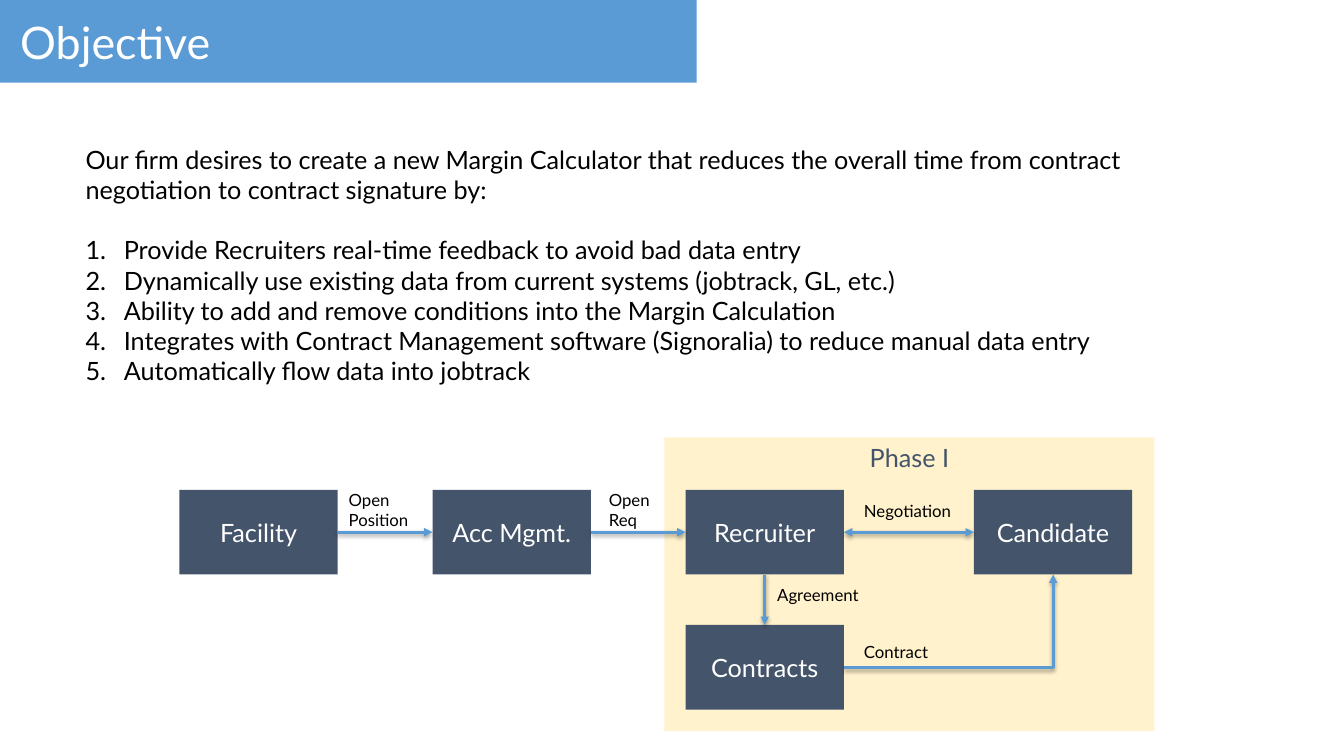
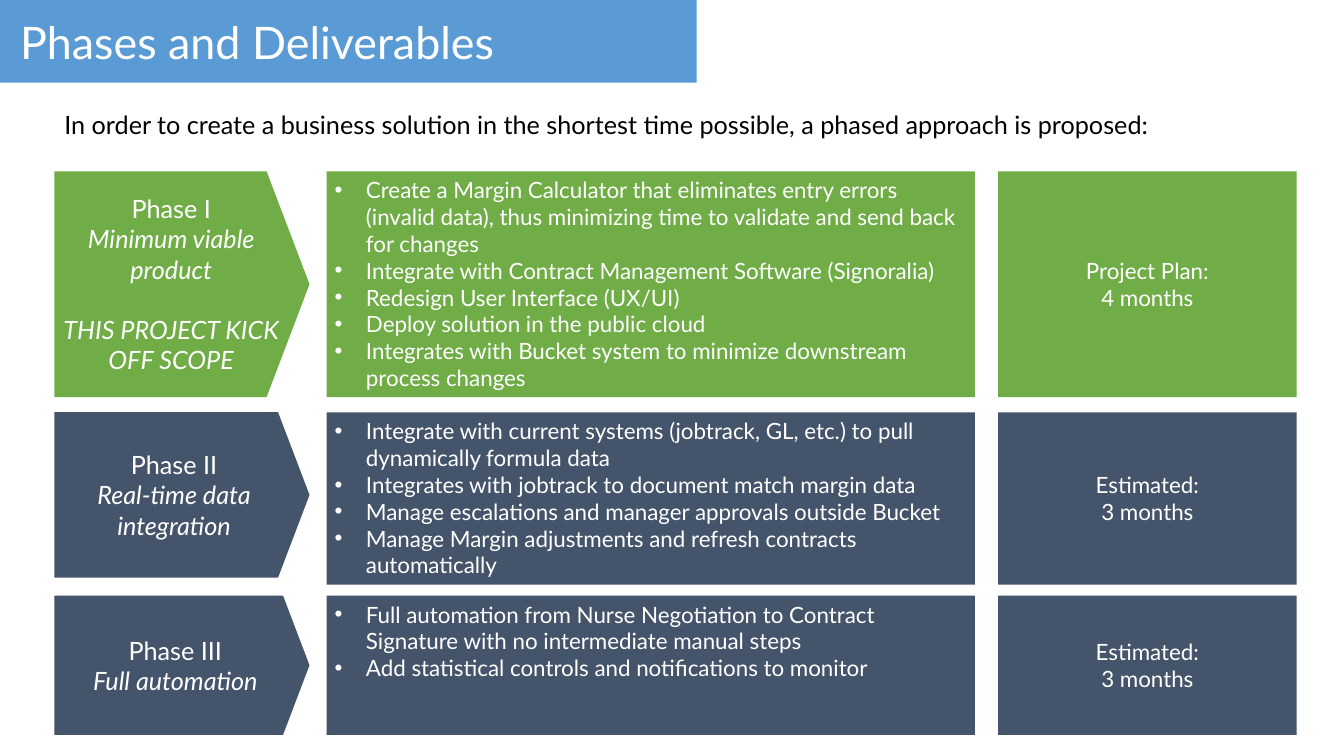
"""Build the two project kick-off slides: objective and phased deliverables."""
from dataclasses import dataclass

from lxml import etree
from pptx import Presentation
from pptx.dml.color import RGBColor
from pptx.enum.shapes import MSO_CONNECTOR, MSO_SHAPE
from pptx.enum.text import MSO_ANCHOR, PP_ALIGN
from pptx.oxml.ns import qn
from pptx.util import Inches, Pt

RECT, ARROW = MSO_SHAPE.RECTANGLE, MSO_SHAPE.PENTAGON
STRAIGHT, ELBOW = MSO_CONNECTOR.STRAIGHT, MSO_CONNECTOR.ELBOW
TOP, MIDDLE = MSO_ANCHOR.TOP, MSO_ANCHOR.MIDDLE
LEFT, CENTER = PP_ALIGN.LEFT, PP_ALIGN.CENTER
SITE_TOP, SITE_LEFT, SITE_BOTTOM, SITE_RIGHT = range(4)
NUMBERED = ("buAutoNum", {"type": "arabicPeriod"}, 0.38)
DOTTED = ("buChar", {"char": "\u2022"}, 0.31)


@dataclass(frozen=True)
class Theme:
    """Colours, font and type sizes shared by the slides."""
    font: str = "Lato"
    blue: str = "5B9BD5"
    navy: str = "44546A"
    green: str = "70AD47"
    cream: str = "FFF2CC"
    white: str = "FFFFFF"
    black: str = "000000"
    title: int = 32
    body: int = 18
    detail: int = 16
    label: int = 12
    blank_line: float = 21.6


@dataclass(frozen=True)
class Line:
    """One paragraph with its own formatting."""
    text: str
    italic: bool = False
    before: float = 0
    bullet: tuple = None


THEME = Theme()

GOALS = [
    "Provide Recruiters real-time feedback to avoid bad data entry",
    "Dynamically use existing data from current systems (jobtrack, GL, etc.)",
    "Ability to add and remove conditions into the Margin Calculation",
    "Integrates with Contract Management software (Signoralia) to reduce manual data entry",
    "Automatically flow data into jobtrack",
]
BOX_SIZE = (1.57, 0.84)
BOXES = {
    "Facility": (1.78, 4.86),
    "Acc Mgmt.": (4.29, 4.86),
    "Recruiter": (6.8, 4.86),
    "Candidate": (9.66, 4.86),
    "Contracts": (6.8, 6.2),
}
FLOWS = [
    ("Facility", SITE_RIGHT, "Acc Mgmt.", SITE_LEFT, STRAIGHT, ["tailEnd"]),
    ("Acc Mgmt.", SITE_RIGHT, "Recruiter", SITE_LEFT, STRAIGHT, ["tailEnd"]),
    ("Recruiter", SITE_RIGHT, "Candidate", SITE_LEFT, STRAIGHT, ["headEnd", "tailEnd"]),
    ("Recruiter", SITE_BOTTOM, "Contracts", SITE_TOP, STRAIGHT, ["tailEnd"]),
    ("Contracts", SITE_RIGHT, "Candidate", SITE_BOTTOM, ELBOW, ["tailEnd"]),
]
FLOW_LABELS = [
    (["Open", "Position"], (3.36, 4.81, 0.85, 0.5)),
    (["Open", "Req"], (5.94, 4.81, 0.7, 0.5)),
    (["Negotiation"], (8.47, 4.92, 1.15, 0.3)),
    (["Agreement"], (7.61, 5.75, 1.1, 0.3)),
    (["Contract"], (8.47, 6.32, 0.95, 0.3)),
]
PHASES = [
    (1.7, 2.24, 2.24, THEME.green,
     [Line("Phase I"), Line("Minimum viable product", True),
      Line("THIS PROJECT KICK OFF SCOPE", True, THEME.blank_line)],
     ["Create a Margin Calculator that eliminates entry errors (invalid data), "
      "thus minimizing time to validate and send back for changes",
      "Integrate with Contract Management Software (Signoralia)",
      "Redesign User Interface (UX/UI)",
      "Deploy solution in the public cloud",
      "Integrates with Bucket system to minimize downstream process changes"],
     ["Project Plan:", "4 months"]),
    (4.09, 1.71, 1.64, THEME.navy,
     [Line("Phase II"), Line("Real-time data integration", True)],
     ["Integrate with current systems (jobtrack, GL, etc.) to pull dynamically formula data",
      "Integrates with jobtrack to document match margin data",
      "Manage escalations and manager approvals outside Bucket",
      "Manage Margin adjustments and refresh contracts automatically"],
     ["Estimated:", "3 months"]),
    (5.91, 1.38, 1.38, THEME.navy,
     [Line("Phase III"), Line("Full automation", True)],
     ["Full automation from Nurse Negotiation to Contract Signature "
      "with no intermediate manual steps",
      "Add statistical controls and notifications to monitor"],
     ["Estimated:", "3 months"]),
]


def set_attrs(target, values):
    """Set every attribute named in a dict."""
    for name, value in values.items():
        setattr(target, name, value)


def add_bullet(p, bullet):
    """Give a paragraph a hanging bullet or number."""
    tag, attrs, indent = bullet
    pPr = p._p.get_or_add_pPr()
    pPr.set("marL", str(Inches(indent)))
    pPr.set("indent", str(-Inches(indent)))
    etree.SubElement(pPr, qn("a:buFont"), typeface="Arial" if tag == "buChar" else "+mj-lt")
    etree.SubElement(pPr, qn(f"a:{tag}"), attrs)


def write(tf, lines, size, color, align=LEFT):
    """Fill a text frame with lines, given as strings or Line objects."""
    for i, item in enumerate(lines):
        line = item if isinstance(item, Line) else Line(item)
        p = tf.paragraphs[0] if i == 0 else tf.add_paragraph()
        set_attrs(p, {"alignment": align, "space_before": Pt(line.before)})
        if line.bullet:
            add_bullet(p, line.bullet)
        r = p.add_run()
        r.text = line.text
        set_attrs(r.font, {"name": THEME.font, "size": Pt(size), "italic": line.italic})
        r.font.color.rgb = RGBColor.from_string(color)


def add_text(s, at, lines, size):
    """Add a plain black text box."""
    tf = s.shapes.add_textbox(*map(Inches, at)).text_frame
    tf.word_wrap = True
    write(tf, lines, size, THEME.black)


def add_block(s, at, fill, lines, size=THEME.body, color=THEME.white, align=CENTER,
              anchor=MIDDLE, kind=RECT, margins=(0.08, 0.05, 0.08, 0.05)):
    """Add a flat filled shape with text."""
    sp = s.shapes.add_shape(kind, *map(Inches, at))
    sp.shadow.inherit = False
    sp.fill.solid()
    sp.fill.fore_color.rgb = RGBColor.from_string(fill)
    sp.line.fill.background()
    sides = ("margin_left", "margin_top", "margin_right", "margin_bottom")
    set_attrs(sp.text_frame, dict(zip(sides, map(Inches, margins))))
    set_attrs(sp.text_frame, {"word_wrap": True, "vertical_anchor": anchor})
    write(sp.text_frame, lines, size, color, align)
    return sp


def add_flow(s, start, start_site, end, end_site, kind, heads):
    """Join two blocks with an arrow; an elbow turns once."""
    cxn = s.shapes.add_connector(kind, 0, 0, 0, 0)
    cxn.begin_connect(start, start_site)
    cxn.end_connect(end, end_site)
    cxn.line.color.rgb = RGBColor.from_string(THEME.blue)
    cxn.line.width = Pt(2)
    if kind == ELBOW:
        cxn._element.spPr.find(qn("a:prstGeom")).set("prst", "bentConnector2")
    for head in heads:
        etree.SubElement(cxn.line._get_or_add_ln(), qn(f"a:{head}"), type="triangle")


def add_slide(prs, title):
    """Add a blank slide with the title band."""
    s = prs.slides.add_slide(prs.slide_layouts[6])
    add_block(s, (0, 0, 6.91, 0.82), THEME.blue, [title], THEME.title, align=LEFT,
              margins=(0.2, 0.1, 0.1, 0.1))
    return s


def build_objective(prs):
    """Build the goals and the contract flow."""
    s = add_slide(prs, "Objective")
    add_block(s, (6.59, 4.34, 4.86, 2.91), THEME.cream, ["Phase I"],
              color=THEME.navy, anchor=TOP)
    intro = ("Our firm desires to create a new Margin Calculator that reduces the overall "
             "time from contract negotiation to contract signature by:")
    goals = [Line(goal, before=0 if i else THEME.blank_line, bullet=NUMBERED)
             for i, goal in enumerate(GOALS)]
    add_text(s, (0.75, 1.38, 11.63, 2.83), [intro, *goals], THEME.body)
    blocks = {name: add_block(s, (*corner, *BOX_SIZE), THEME.navy, [name])
              for name, corner in BOXES.items()}
    for start, start_site, end, end_site, kind, heads in FLOWS:
        add_flow(s, blocks[start], start_site, blocks[end], end_site, kind, heads)
    for lines, at in FLOW_LABELS:
        add_text(s, at, lines, THEME.label)


def build_phases(prs):
    """Build one row of name, deliverables and duration per phase."""
    s = add_slide(prs, "Phases and Deliverables")
    add_text(s, (0.54, 1.04, 11.3, 0.4),
             ["In order to create a business solution in the shortest time possible, "
              "a phased approach is proposed:"], THEME.body)
    for top, height, arrow_height, fill, name, deliverables, duration in PHASES:
        arrow = add_block(s, (0.54, top, 2.53, arrow_height), fill, name, kind=ARROW)
        arrow.adjustments[0] = 0.19
        add_block(s, (3.24, top, 6.43, height), fill,
                  [Line(text, bullet=DOTTED) for text in deliverables],
                  THEME.detail, align=LEFT, anchor=TOP)
        add_block(s, (9.9, top, 2.96, height), fill, duration, THEME.detail)


def main():
    """Create and save the presentation."""
    prs = Presentation()
    set_attrs(prs, {"slide_width": Inches(13.33), "slide_height": Inches(7.5)})
    build_objective(prs)
    build_phases(prs)
    prs.save("out.pptx")


main()
